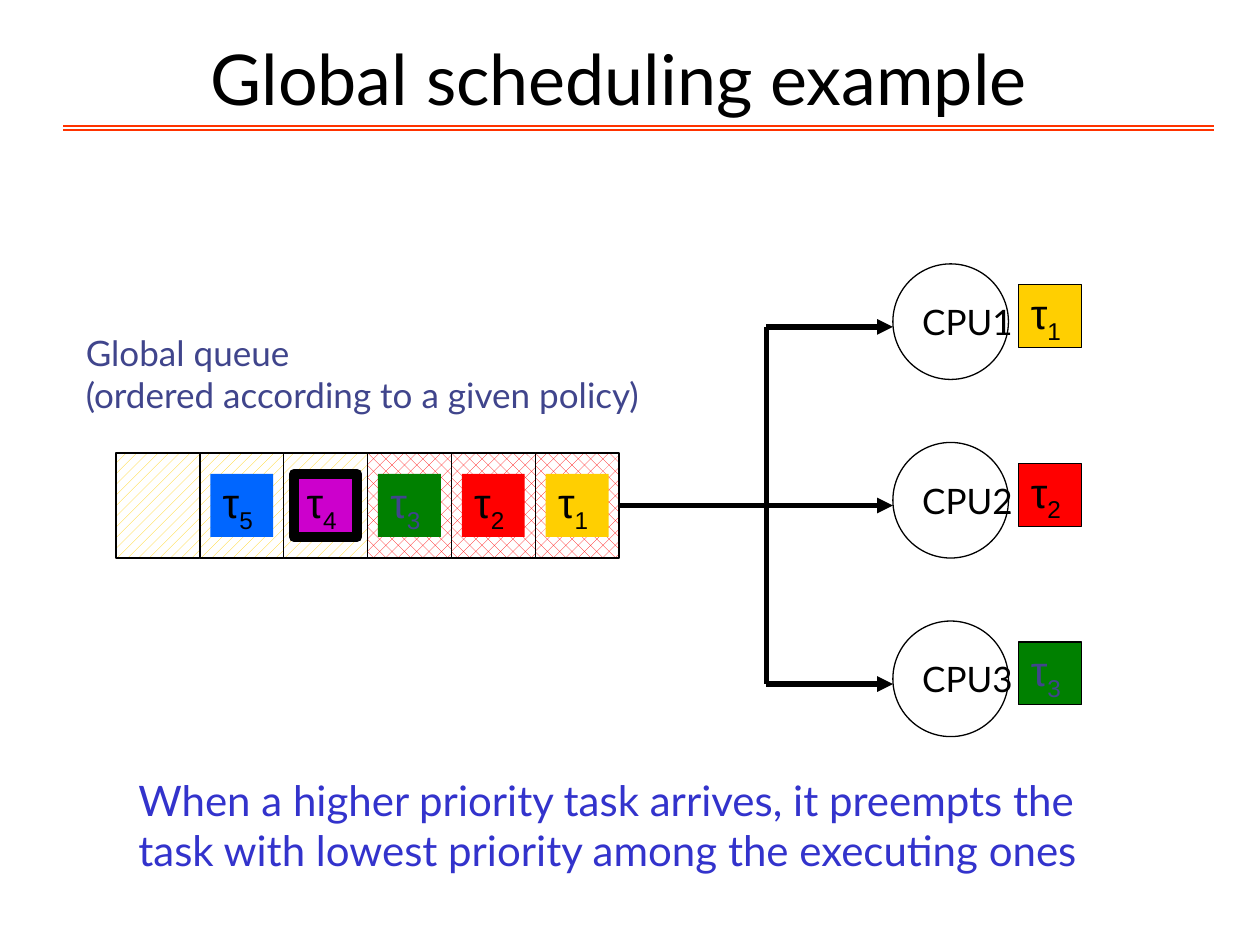
from dataclasses import dataclass

from lxml import etree
from pptx import Presentation
from pptx.dml import color
from pptx.enum import dml, shapes, text
from pptx.oxml import ns
from pptx.util import Cm, Pt


@dataclass(frozen=True)
class Theme:
    black: str = "000000"
    white: str = "FFFFFF"
    rule: str = "FF3300"
    slate: str = "40458C"
    note: str = "3333CC"
    yellow: str = "FFCF01"
    red: str = "FF0000"
    green: str = "008000"
    purple: str = "CC00CC"
    blue: str = "0066FF"
    body_font: str = "Lato"
    task_font: str = "Arial"
    title_size: int = 40
    large_size: int = 24
    label_size: int = 20
    thin: float = 0.75
    rule_width: float = 1
    arrow_width: float = 3
    frame_width: float = 6


@dataclass(frozen=True)
class Task:
    number: int
    fill: str
    ink: str
    frame: float = 0


@dataclass(frozen=True)
class Box:
    left: float
    top: float
    width: float
    height: float

    def lengths(self) -> list:
        return [Cm(v) for v in (self.left, self.top, self.width, self.height)]


THEME = Theme()
TASK_1 = Task(1, THEME.yellow, THEME.black)
TASK_2 = Task(2, THEME.red, THEME.black)
TASK_3 = Task(3, THEME.green, THEME.slate)
TASK_4 = Task(4, THEME.purple, THEME.black, THEME.frame_width)
TASK_5 = Task(5, THEME.blue, THEME.black)
QUEUE = (None, TASK_5, TASK_4, TASK_3, TASK_2, TASK_1)
RUNNING = (TASK_1, TASK_2, TASK_3)

TASK_SIDE = 1.27
CELL = Box(2.34, 9.13, 1.69, 2.12)
CPU = Box(18, 5.32, 2.33, 2.33)
CPU_PITCH = 3.6
TRUNK_X = 15.45
BRANCH_TOP = 6.59


def rgb(value: str) -> color.RGBColor:
    return color.RGBColor.from_string(value)


def apply(target, formats: dict) -> None:
    for name, value in formats.items():
        setattr(target, name, value)


def write(paragraph, words: str, size: int, ink: str, font: str = THEME.body_font):
    run = paragraph.add_run()
    run.text = words
    apply(run.font, {"name": font, "size": Pt(size)})
    run.font.color.rgb = rgb(ink)
    return run


def add_outline(shape, width: float) -> None:
    if width:
        shape.line.color.rgb = rgb(THEME.black)
        shape.line.width = Pt(width)
    else:
        shape.line.fill.background()


def add_figure(slide, kind, box: Box, outline: float):
    figure = slide.shapes.add_shape(kind, *box.lengths())
    figure.shadow.inherit = False
    add_outline(figure, outline)
    apply(figure.text_frame, {"word_wrap": False,
                              "vertical_anchor": text.MSO_ANCHOR.MIDDLE})
    figure.text_frame.paragraphs[0].alignment = text.PP_ALIGN.LEFT
    return figure


def add_task(slide, task: Task, left: float, top: float, outline: float) -> None:
    box = Box(left, top, TASK_SIDE, TASK_SIDE)
    square = add_figure(slide, shapes.MSO_SHAPE.RECTANGLE, box, outline)
    square.fill.solid()
    square.fill.fore_color.rgb = rgb(task.fill)
    symbol = square.text_frame.paragraphs[0]
    write(symbol, "τ", THEME.large_size, task.ink, THEME.task_font)
    index = write(symbol, str(task.number), THEME.large_size, task.ink, THEME.task_font)
    index.font._element.set("baseline", "-25000")


def add_cell(slide, position: int, task: Task | None):
    box = Box(CELL.left + position * CELL.width, CELL.top, CELL.width, CELL.height)
    cell = add_figure(slide, shapes.MSO_SHAPE.RECTANGLE, box, THEME.thin)
    executing = task in RUNNING
    cell.fill.patterned()
    cell.fill.pattern = (dml.MSO_PATTERN.PERCENT_30 if executing
                         else dml.MSO_PATTERN.PERCENT_20)
    cell.fill.fore_color.rgb = rgb(THEME.red if executing else THEME.yellow)
    cell.fill.back_color.rgb = rgb(THEME.white)
    if task:
        add_task(slide, task, box.left + (CELL.width - TASK_SIDE) / 2,
                 box.top + (CELL.height - TASK_SIDE) / 2, task.frame)
    return cell


def add_cpu(slide, row: int, task: Task) -> None:
    box = Box(CPU.left, CPU.top + row * CPU_PITCH, CPU.width, CPU.height)
    circle = add_figure(slide, shapes.MSO_SHAPE.OVAL, box, THEME.thin)
    circle.fill.solid()
    circle.fill.fore_color.rgb = rgb(THEME.white)
    write(circle.text_frame.paragraphs[0], f"CPU{row + 1}",
          THEME.label_size, THEME.black)
    add_task(slide, task, 20.53, box.top + 0.42, THEME.thin)


def add_line(slide, x1: float, y1: float, x2: float, y2: float,
             ink: str, width: float, arrow: bool = False):
    line = slide.shapes.add_connector(shapes.MSO_CONNECTOR.STRAIGHT,
                                      Cm(x1), Cm(y1), Cm(x2), Cm(y2))
    line.line.color.rgb = rgb(ink)
    line.line.width = Pt(width)
    if arrow:
        etree.SubElement(line.line._get_or_add_ln(), ns.qn("a:tailEnd"), type="triangle")
    etree.SubElement(line._element.spPr, ns.qn("a:effectLst"))
    return line


def add_text(slide, box: Box, lines: list[str], size: int, ink: str) -> None:
    frame = slide.shapes.add_textbox(*box.lengths()).text_frame
    frame.word_wrap = True
    for number, words in enumerate(lines):
        paragraph = frame.add_paragraph() if number else frame.paragraphs[0]
        write(paragraph, words, size, ink)


def add_title(slide, words: str) -> None:
    title = slide.shapes.title
    apply(title, dict(zip(("left", "top", "width", "height"),
                          Box(2.43, -0.64, 20.09, 3.18).lengths())))
    apply(title.text_frame, {"vertical_anchor": text.MSO_ANCHOR.BOTTOM,
                             "word_wrap": True,
                             "auto_size": text.MSO_AUTO_SIZE.NONE})
    heading = title.text_frame.paragraphs[0]
    heading.alignment = text.PP_ALIGN.CENTER
    write(heading, words, THEME.title_size, THEME.black)


def main() -> None:
    deck = Presentation()
    apply(deck, {"slide_width": Cm(25.4), "slide_height": Cm(19.05)})
    slide = deck.slides.add_slide(deck.slide_layouts[5])
    add_title(slide, "Global scheduling example")
    for rule_y in (2.54, 2.62):
        add_line(slide, 1.27, rule_y, 24.48, rule_y, THEME.rule, THEME.rule_width)

    cells = [add_cell(slide, position, task) for position, task in enumerate(QUEUE)]
    for row, task in enumerate(RUNNING):
        add_cpu(slide, row, task)

    branches = [BRANCH_TOP + row * CPU_PITCH for row in range(len(RUNNING))]
    for branch_y in branches:
        branch = add_line(slide, TRUNK_X, branch_y, CPU.left, branch_y,
                          THEME.black, THEME.arrow_width, arrow=True)
        if branch_y == branches[1]:
            branch.begin_connect(cells[-1], 3)
    add_line(slide, TRUNK_X, branches[0], TRUNK_X, branches[-1],
             THEME.black, THEME.arrow_width)

    add_text(slide, Box(1.48, 6.55, 12.01, 1.96),
             ["Global queue", "(ordered according to a given policy)"],
             THEME.label_size, THEME.slate)
    add_text(slide, Box(2.54, 15.49, 20.32, 2.29),
             ["When a higher priority task arrives, it preempts the task "
              "with lowest priority among the executing ones"],
             THEME.large_size, THEME.note)
    deck.save("out.pptx")


if __name__ == "__main__":
    main()
